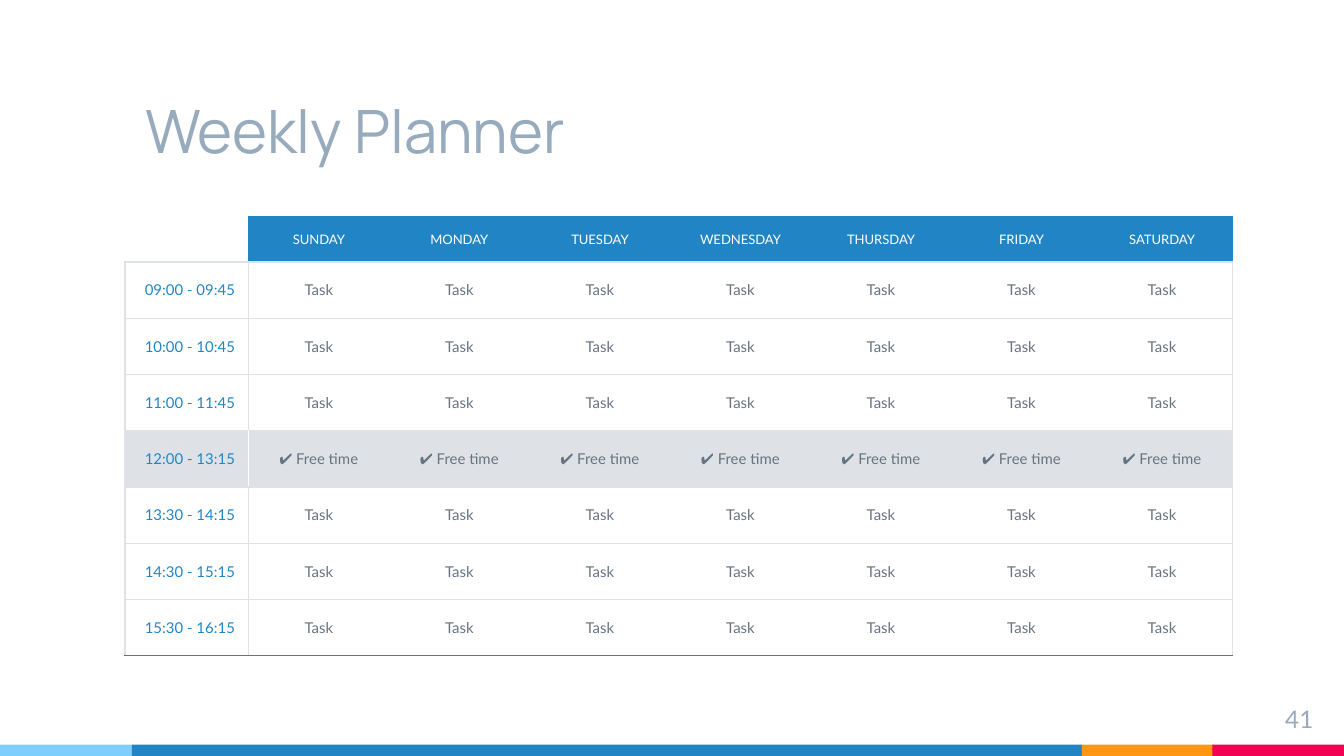
import dataclasses
import lxml.etree
import pptx
import pptx.dml.color
import pptx.enum.shapes
import pptx.enum.text
import pptx.oxml.ns
import pptx.util

Inches = pptx.util.Inches
Align = pptx.enum.text.PP_ALIGN
Anchor = pptx.enum.text.MSO_ANCHOR
qn = pptx.oxml.ns.qn


@dataclasses.dataclass
class Theme:
    blue: str = "2185C5"
    sky: str = "7ECEFD"
    gold: str = "FF9715"
    red: str = "F20253"
    mist: str = "97ABBC"
    slate: str = "677480"
    rule: str = "DEE2E6"
    white: str = "FFFFFF"
    head: str = "Manrope"
    body: str = "Lato"
    title: int = 32
    page: int = 13
    day: int = 7
    cell: int = 8
    line: float = 0.75


theme = Theme()


def write(frame, text, font, size, color, align):
    para = frame.paragraphs[0]
    para.alignment = align
    run = para.add_run()
    run.text = text
    run.font.name = font
    run.font.size = pptx.util.Pt(size)
    run.font.color.rgb = pptx.dml.color.RGBColor.from_string(color)


def border(cell, sides):
    props = cell._tc.get_or_add_tcPr()
    for side in "LRTB":
        line = lxml.etree.SubElement(props, qn("a:ln" + side))
        line.set("w", str(pptx.util.Pt(theme.line)))
        if side in sides:
            fill = lxml.etree.SubElement(line, qn("a:solidFill"))
            lxml.etree.SubElement(fill, qn("a:srgbClr")).set("val", sides[side])
        else:
            lxml.etree.SubElement(line, qn("a:noFill"))


deck = pptx.Presentation()
deck.slide_width = Inches(10)
deck.slide_height = Inches(10) * 9 // 16
slide = deck.slides.add_slide(deck.slide_layouts[5])

bars = [
    (0, 0.98, theme.sky),
    (0.98, 7.07, theme.blue),
    (8.05, 0.98, theme.gold),
    (9.02, 0.98, theme.red),
]
for left, width, color in bars:
    bar = slide.shapes.add_shape(
        pptx.enum.shapes.MSO_SHAPE.RECTANGLE,
        Inches(left), Inches(5.54), Inches(width), deck.slide_height - Inches(5.54),
    )
    bar.shadow.inherit = False
    bar.fill.solid()
    bar.fill.fore_color.rgb = pptx.dml.color.RGBColor.from_string(color)
    bar.line.fill.background()

title = slide.shapes.title
title.left, title.top = Inches(0.98), Inches(0.39)
title.width, title.height = Inches(7.07), Inches(0.94)
page = slide.shapes.add_textbox(Inches(9.27), Inches(5.14), Inches(0.6), Inches(0.34))
for shape, anchor in [(title, Anchor.BOTTOM), (page, Anchor.TOP)]:
    frame = shape.text_frame
    frame.word_wrap = True
    frame.auto_size = pptx.enum.text.MSO_AUTO_SIZE.NONE
    frame.vertical_anchor = anchor
    frame.margin_left = frame.margin_right = Inches(0.1)
    frame.margin_top = frame.margin_bottom = Inches(0.1)
write(title.text_frame, "Weekly Planner", theme.head, theme.title, theme.mist, Align.LEFT)
write(page.text_frame, "41", theme.body, theme.page, theme.mist, Align.RIGHT)

days = ["SUNDAY", "MONDAY", "TUESDAY", "WEDNESDAY", "THURSDAY", "FRIDAY", "SATURDAY"]
times = [
    "09:00 - 09:45", "10:00 - 10:45", "11:00 - 11:45", "12:00 - 13:15",
    "13:30 - 14:15", "14:30 - 15:15", "15:30 - 16:15",
]
pause = "12:00 - 13:15"
grid = [[""] + days]
for time in times:
    task = "✔ Free time" if time == pause else "Task"
    grid.append([time] + [task] * len(days))

rows, cols = len(grid), len(grid[0])
table = slide.shapes.add_table(
    rows, cols, Inches(0.93), Inches(1.61), Inches(8.24), Inches(3.27)
).table
table.first_row = False
table.horz_banding = False
for c in range(cols):
    table.columns[c].width = Inches(7.32) // len(days) if c else Inches(0.92)
for r in range(rows):
    table.rows[r].height = Inches(2.93) // len(times) if r else Inches(0.34)

for r, row in enumerate(grid):
    free = row[0] == pause
    for c, text in enumerate(row):
        cell = table.cell(r, c)
        cell.vertical_anchor = Anchor.MIDDLE
        pad = Inches(0.1 if text else 0)
        cell.margin_left = cell.margin_right = pad
        cell.margin_top = cell.margin_bottom = pad

        edge = theme.rule if r else theme.blue
        split = theme.white if free else edge
        sides = {"B": theme.slate if r == rows - 1 else theme.rule}
        if text:
            sides["T"] = edge
        if c == 0:
            sides["R"] = split
            if r:
                sides["L"] = edge
        if c == 1:
            sides["L"] = split
        if c == cols - 1:
            sides["R"] = edge
        border(cell, sides)

        fill = theme.rule if free else theme.blue if r == 0 and c else None
        if fill:
            cell.fill.solid()
            cell.fill.fore_color.rgb = pptx.dml.color.RGBColor.from_string(fill)
        else:
            cell.fill.background()

        if text:
            size = theme.cell if r else theme.day
            color = theme.white if r == 0 else theme.slate if c else theme.blue
            align = Align.CENTER if c else Align.RIGHT
            write(cell.text_frame, text, theme.body, size, color, align)

deck.save("out.pptx")
